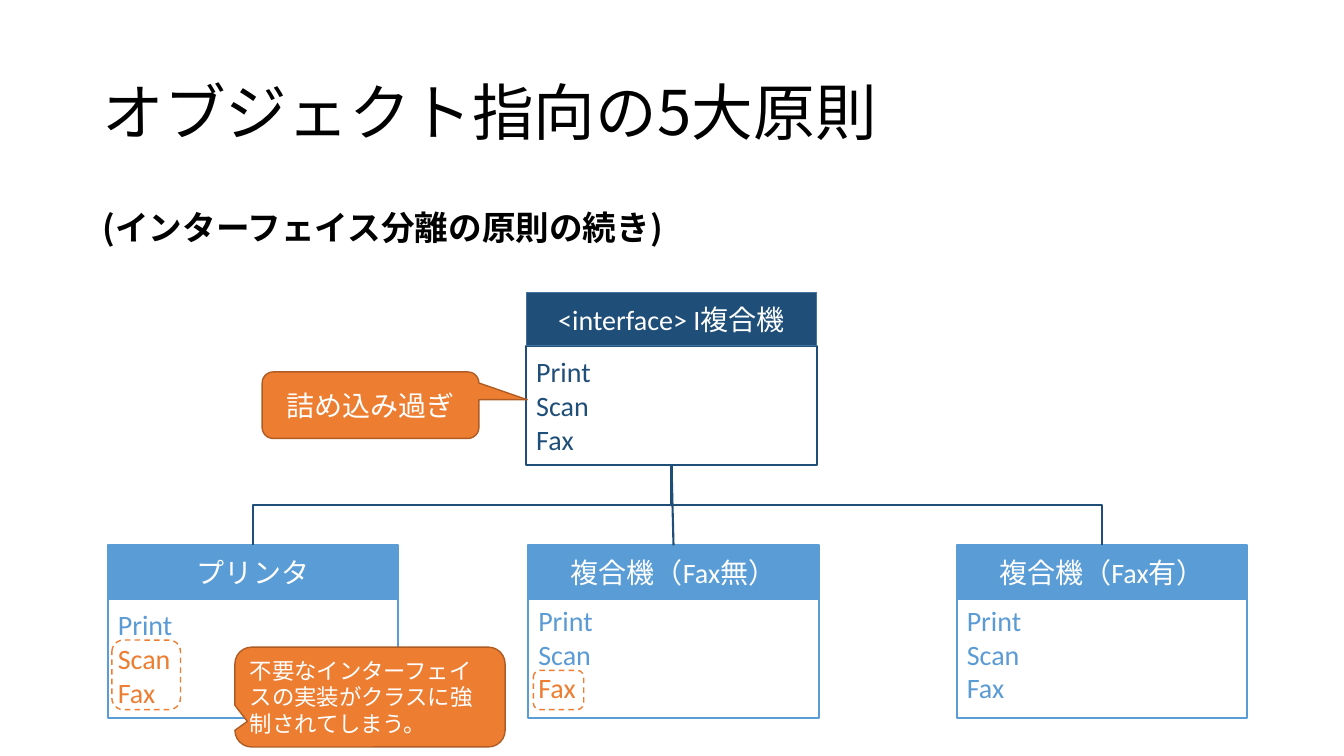
from lxml import etree
from pptx import Presentation
from pptx.dml.color import RGBColor
from pptx.enum import dml, lang, shapes, text
from pptx.oxml.ns import qn
from pptx.util import Inches, Pt

TITLE = "オブジェクト指向の5大原則"
LEAD = "(インターフェイス分離の原則の続き)"
ROOT = ("<interface> I複合機", ["Print", "Scan", "Fax"])
# name, left, members, members not needed, anchor
KIDS = [
    ("プリンタ", 1.07, ["Print", "Scan", "Fax"], {"Scan", "Fax"}, "mid"),
    ("複合機（Fax無）", 5.24, ["Print", "Scan", "Fax"], {"Fax"}, "top"),
    ("複合機（Fax有）", 9.49, ["Print", "Scan", "Fax"], set(), "top"),
]
# text, box, pointer, size, align
NOTES = [
    ("不要なインターフェイスの実装がクラスに強制されてしまう。",
     (2.33, 6.42, 2.68, 0.99), (-0.454, 0.244), "note", "left"),
    ("詰め込み過ぎ", (2.6, 3.69, 2.15, 0.66), (0.723, -0.082), "base", "mid"),
]
MARKS = [(1.11, 6.35, 0.68, 0.69), (5.29, 6.65, 0.5, 0.39)]

THEME = {
    "latin": "Calibri", "cjk": "Noto Sans CJK JP",
    "title": 44, "lead": 24, "base": 20, "note": 16,
    "black": "000000", "white": "FFFFFF", "navy": "1F4E79", "rim": "43739E",
    "blue": "5A9DD6", "member": "5B9BD5", "orange": "ED7D31", "rust": "AF5C24",
}
WIDE, HEAD, BODY = 2.88, 0.53, 1.18
ROOT_X, ROOT_Y, KID_Y = 5.22, 2.9, 5.41
ALIGN = {"left": text.PP_ALIGN.LEFT, "mid": text.PP_ALIGN.CENTER}
ANCHOR = {"top": text.MSO_ANCHOR.TOP, "mid": text.MSO_ANCHOR.MIDDLE}
KIND = shapes.MSO_SHAPE

prs = Presentation()
prs.slide_width, prs.slide_height = Inches(13.33), Inches(7.5)
slide = prs.slides.add_slide(prs.slide_layouts[6])


def tint(name):
    return RGBColor.from_string(THEME[name])


def write(shape, lines, size="base", color="white", accent=(), align="left",
          anchor="mid", font="latin", bold=False, before=None, space=None):
    """Fill a shape with lines; those in accent turn orange."""
    frame = shape.text_frame
    frame.word_wrap = True
    frame.vertical_anchor = ANCHOR[anchor]
    for i, line in enumerate(lines):
        para = frame.paragraphs[0] if i == 0 else frame.add_paragraph()
        para.alignment = ALIGN[align]
        if before:
            para.space_before = Pt(before)
        if space:
            para.line_spacing = space
        run = para.add_run()
        run.text = line
        face = run.font
        face.size, face.bold, face.name = Pt(THEME[size]), bold, THEME[font]
        face.language_id = lang.MSO_LANGUAGE_ID.JAPANESE
        face.color.rgb = tint("orange" if line in accent else color)
        east = etree.SubElement(run.font._element, qn("a:ea"))
        east.set("typeface", THEME["cjk"])


def label(box, line, **form):
    write(slide.shapes.add_textbox(*map(Inches, box)), [line], **form)


def draw(kind, box, fill=None, line="navy", width=1.5, dash=False):
    shape = slide.shapes.add_shape(kind, *map(Inches, box))
    shape.shadow.inherit = False
    if fill:
        shape.fill.solid()
        shape.fill.fore_color.rgb = tint(fill)
    else:
        shape.fill.background()
    shape.line.color.rgb = tint(line)
    shape.line.width = Pt(width)
    if dash:
        shape.line.dash_style = dml.MSO_LINE.DASH
    return shape


def entity(x, y, name, items, fill, edge, color, rim=None, thin=1.5, **form):
    """Draw a class box: a filled name above an outlined member list."""
    body = draw(KIND.RECTANGLE, (x, y + HEAD, WIDE, BODY), line=edge)
    write(body, items, color=color, **form)
    head = draw(KIND.RECTANGLE, (x, y, WIDE, HEAD), fill, rim or edge, thin)
    write(head, [name], align="mid")


def link(kind, x0, y0, x1, y1, turn=0):
    wire = slide.shapes.add_connector(kind, *map(Inches, (x0, y0, x1, y1)))
    wire.line.color.rgb = tint("navy")
    wire.line.width = Pt(1.5)
    props = wire._element.spPr
    etree.SubElement(props, qn("a:effectLst"))
    if turn:
        props.find(qn("a:xfrm")).set("rot", str(turn * 60000))


def elbow(x0, y0, x1, y1):
    """Join two points by a vertical-horizontal-vertical line."""
    mx, my = (x0 + x1) / 2, (y0 + y1) / 2
    dx, dy = (x1 - x0) / 2, (y1 - y0) / 2
    link(shapes.MSO_CONNECTOR.ELBOW, mx + dy, my - dx, mx - dy, my + dx, 270)


label((0.92, 0.42, 11.5, 1.45), TITLE, size="title", color="black",
      font="cjk", space=0.9)
label((0.92, 2, 11.5, 0.64), LEAD, size="lead", color="black", font="cjk",
      bold=True, anchor="top", before=10)

entity(ROOT_X, ROOT_Y, *ROOT, "navy", "navy", "navy", rim="rim", thin=1)
for name, x, items, extra, anchor in KIDS:
    entity(x, KID_Y, name, items, "blue", "blue", "member",
           accent=extra, anchor=anchor)

hub, foot = ROOT_X + WIDE / 2, ROOT_Y + HEAD + BODY
for i, kid in enumerate(KIDS):
    mid = kid[1] + WIDE / 2
    if i == 1:
        link(shapes.MSO_CONNECTOR.STRAIGHT, hub, foot, mid, KID_Y)
    else:
        elbow(mid, KID_Y, hub, foot)

for line, box, tip, size, align in NOTES:
    note = draw(KIND.ROUNDED_RECTANGULAR_CALLOUT, box, "orange", "rust", 1)
    for i, value in enumerate((*tip, 0.167)):
        note.adjustments[i] = value
    write(note, [line], size=size, align=align)
for box in MARKS:
    draw(KIND.ROUNDED_RECTANGLE, box, line="orange", width=1, dash=True)

prs.save("out.pptx")
